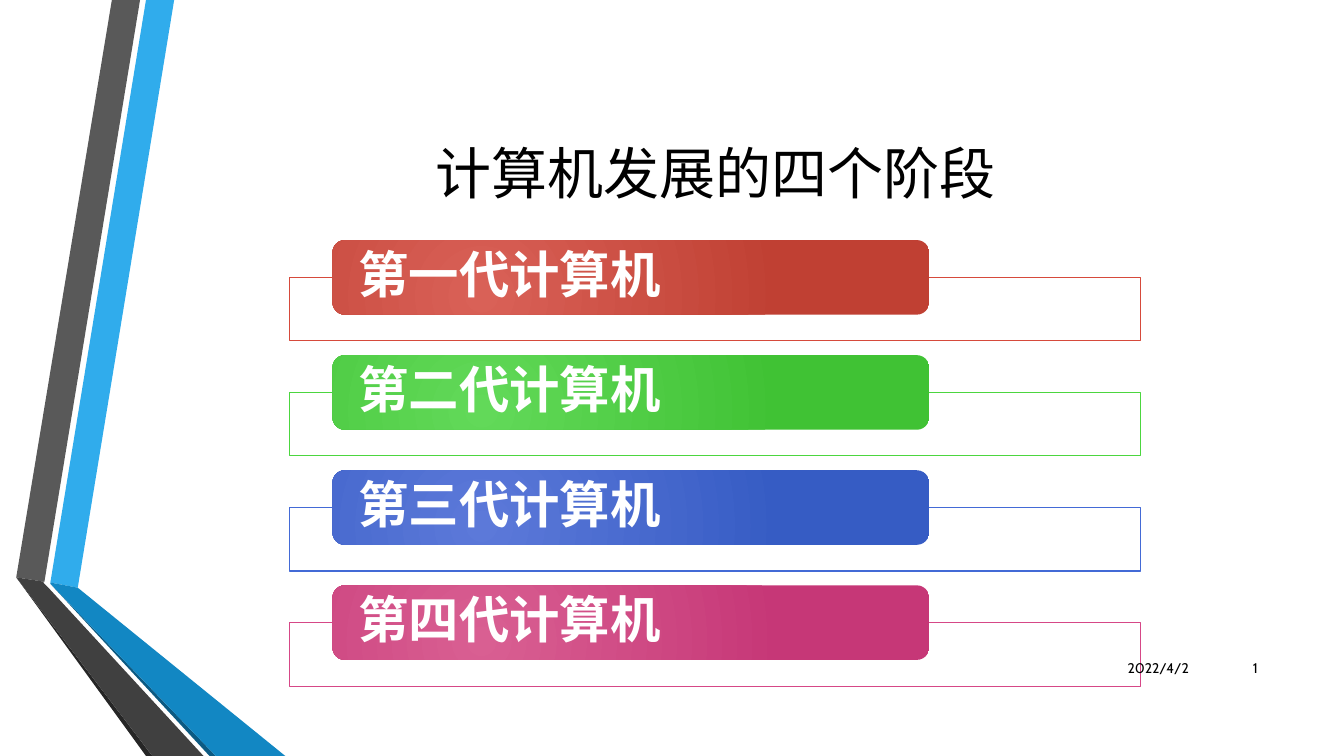
from dataclasses import dataclass

from lxml import etree
from pptx import Presentation
from pptx.dml.color import RGBColor
from pptx.enum.shapes import MSO_SHAPE
from pptx.enum.text import MSO_ANCHOR, PP_ALIGN
from pptx.oxml.ns import qn
from pptx.util import Cm, Pt

RECT, ROUNDED = MSO_SHAPE.RECTANGLE, MSO_SHAPE.ROUNDED_RECTANGLE
LEFT, CENTER, RIGHT = PP_ALIGN.LEFT, PP_ALIGN.CENTER, PP_ALIGN.RIGHT
MIDDLE = MSO_ANCHOR.MIDDLE


@dataclass(frozen=True)
class Theme:
    black: str = "000000"
    white: str = "FFFFFF"
    body_font: str = "Cabin"
    label_font: str = "Noto Sans CJK SC"
    title_size: int = 40
    label_size: int = 36
    footer_size: int = 10


@dataclass(frozen=True)
class Band:
    color: str
    points: tuple[tuple[float, float], ...]


@dataclass(frozen=True)
class Stage:
    label: str
    outline: str
    light: str
    dark: str


THEME = Theme()
BOTTOM = 19.05
BANDS = (
    Band("30ACEC", ((1.27, 14.68), (1.96, 14.81), (4.39, 0), (3.68, 0))),
    Band("595959", ((3.53, 0), (2.82, 0), (0.41, 14.55), (1.12, 14.66))),
    Band("262626", ((0.41, 14.55), (3.68, BOTTOM), (3.84, BOTTOM))),
    Band("0C5A82", ((1.27, 14.71), (5.28, BOTTOM), (5.44, BOTTOM))),
    Band("1287C3", ((1.27, 14.71), (5.44, BOTTOM), (7.19, BOTTOM),
                    (1.96, 14.81), (1.27, 14.68))),
    Band("404040", ((5.13, BOTTOM), (1.22, 14.81), (1.09, 14.68),
                    (1.12, 14.66), (0.41, 14.55), (3.84, BOTTOM))),
)
STAGES = (
    Stage("第一代计算机", "D64A3B", "D96157", "C04033"),
    Stage("第二代计算机", "4CD63F", "62D959", "40C234"),
    Stage("第三代计算机", "436AD6", "5C79D9", "365CC4"),
    Stage("第四代计算机", "D64787", "D95F92", "C63777"),
)
STAGE_PITCH = 2.9


def rgb(color: str) -> RGBColor:
    return RGBColor.from_string(color)


def write(shape, text: str, *, size: int, color: str = THEME.black,
          font: str = THEME.body_font, bold: bool = False, align=LEFT,
          line_spacing: float = 1.0) -> None:
    frame = shape.text_frame
    frame.word_wrap = True
    frame.vertical_anchor = MIDDLE
    paragraph = frame.paragraphs[0]
    paragraph.alignment = align
    paragraph.line_spacing = line_spacing
    run = paragraph.add_run()
    run.text = text
    run.font.size, run.font.bold, run.font.name = Pt(size), bold, font
    run.font.color.rgb = rgb(color)
    # East Asian typeface
    etree.SubElement(run.font._element, qn("a:ea"), typeface=THEME.label_font)


def add_text(slide, text: str, left: float, top: float, width: float,
             height: float, **text_format) -> None:
    box = slide.shapes.add_textbox(Cm(left), Cm(top), Cm(width), Cm(height))
    write(box, text, **text_format)


def add_band(slide, band: Band) -> None:
    start, *rest = [(Cm(x), Cm(y)) for x, y in band.points]
    builder = slide.shapes.build_freeform(*start)
    builder.add_line_segments(rest, close=True)
    shape = builder.convert_to_shape()
    shape.shadow.inherit = False
    shape.fill.solid()
    shape.fill.fore_color.rgb = rgb(band.color)
    shape.line.fill.background()


def fill_radial(shape, light: str, dark: str) -> None:
    shape.fill.gradient()
    for stop, color in zip(shape.fill.gradient_stops, (light, dark)):
        stop.color.rgb = rgb(color)
    gradient = shape._element.spPr.find(qn("a:gradFill"))
    linear = gradient.find(qn("a:lin"))
    circle = etree.Element(qn("a:path"), {"path": "circle"})
    etree.SubElement(circle, qn("a:fillToRect"),
                     l="50000", t="100000", r="100000", b="50000")
    gradient.replace(linear, circle)


def add_stage(slide, stage: Stage, offset: float) -> None:
    # Outlined frame behind the bar
    frame = slide.shapes.add_shape(RECT, Cm(7.29), Cm(6.99 + offset),
                                   Cm(21.46), Cm(1.6))
    frame.shadow.inherit = False
    frame.fill.solid()
    frame.fill.fore_color.rgb = rgb(THEME.white)
    tint = frame._element.spPr.find(f"{qn('a:solidFill')}/{qn('a:srgbClr')}")
    etree.SubElement(tint, qn("a:alpha"), val="90000")
    frame.line.color.rgb = rgb(stage.outline)
    frame.line.width = Pt(0.75)

    # Labelled bar
    bar = slide.shapes.add_shape(ROUNDED, Cm(8.38), Cm(6.05 + offset),
                                 Cm(15.04), Cm(1.88))
    bar.shadow.inherit = False
    fill_radial(bar, stage.light, stage.dark)
    bar.line.fill.background()
    margins = bar.text_frame
    margins.margin_left = margins.margin_right = Cm(0.56)
    margins.margin_top = margins.margin_bottom = 0
    write(bar, stage.label, size=THEME.label_size, color=THEME.white,
          font=THEME.label_font, bold=True, line_spacing=0.9)


def main() -> None:
    presentation = Presentation()
    presentation.slide_width, presentation.slide_height = Cm(33.87), Cm(BOTTOM)
    slide = presentation.slides.add_slide(presentation.slide_layouts[6])

    # Folded ribbons on the left
    for band in BANDS:
        add_band(slide, band)

    # Title
    add_text(slide, "计算机发展的四个阶段", 4.11, 1.9, 27.84, 4.88,
             size=THEME.title_size, align=CENTER)

    # Four generations
    for index, stage in enumerate(STAGES):
        add_stage(slide, stage, index * STAGE_PITCH)

    # Date and page number
    for text, left, width in (("2022/4/2", 27.03, 3.18), ("1", 30.43, 1.52)):
        add_text(slide, text, left, 16.33, width, 1.02,
                 size=THEME.footer_size, align=RIGHT)

    presentation.save("out.pptx")


if __name__ == "__main__":
    main()
